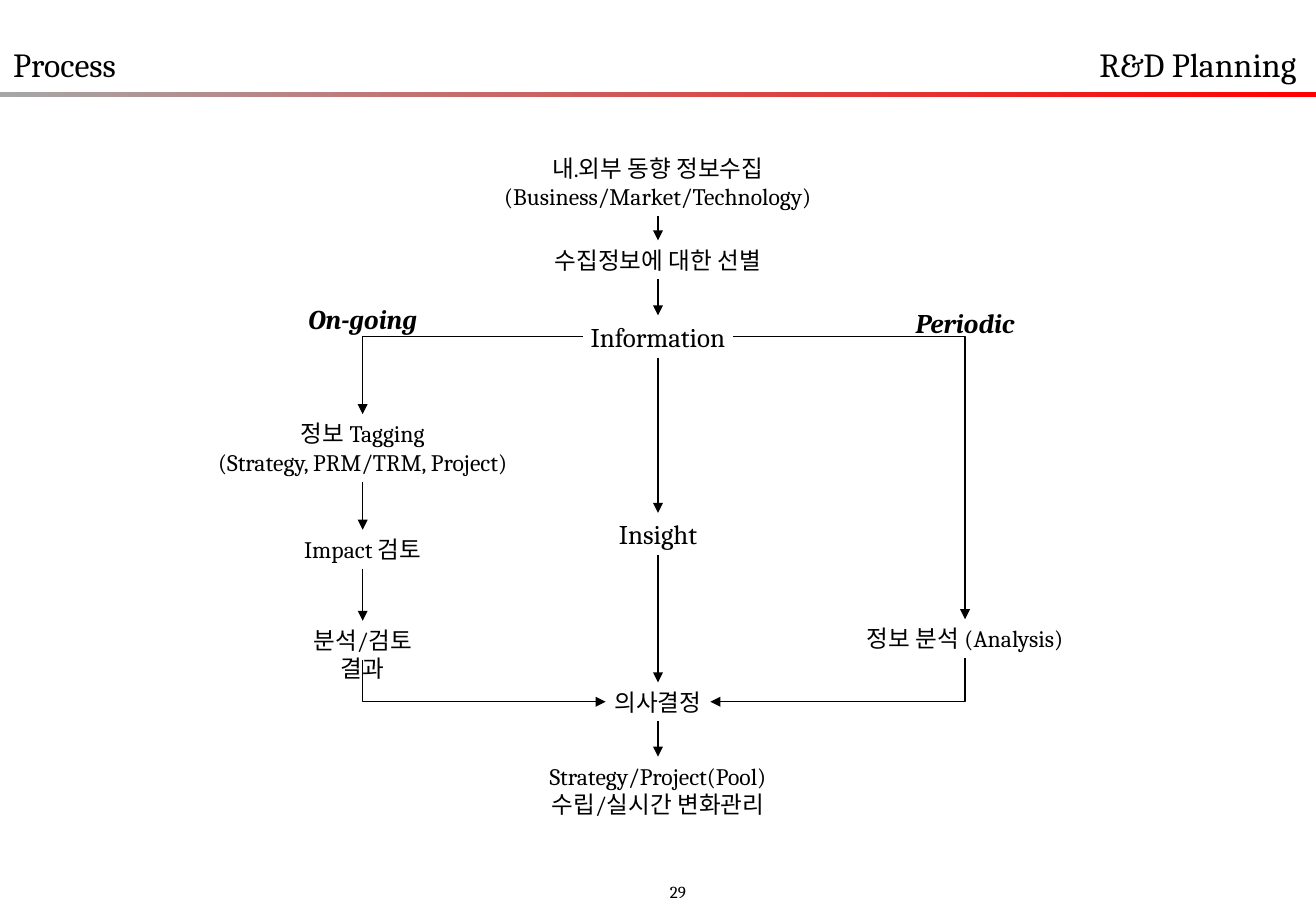
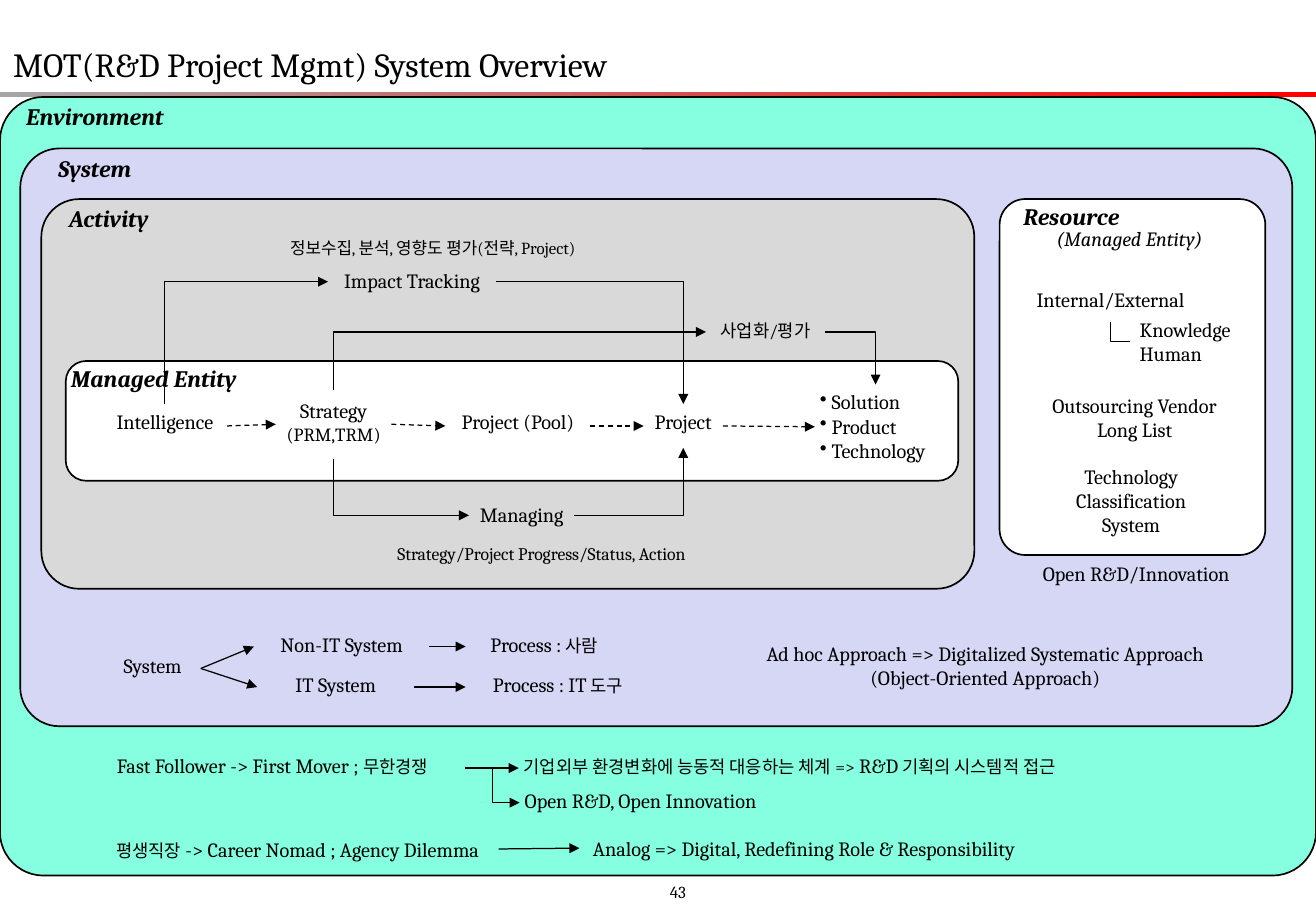
from collections import namedtuple

from lxml import etree
from pptx import Presentation
from pptx.dml.color import RGBColor
from pptx.enum import dml, shapes, text
from pptx.oxml import ns
from pptx.util import Pt

FONT = "Cambria"
BLACK, WHITE = "000000", "FFFFFF"
GREY, RED = "A6A6A6", "FF0000"
MINT, LILAC, SILVER = "85FFE0", "D6D6F5", "D9D9D9"

# Text insets: left, top, right, bottom
EVEN = (3, 3, 3, 3)
ENTITY = (3, 3, 3, 6)
FLAT = (3, 0, 3, 0)
WIDE = (7.2, 3.6, 7.2, 3.6)
SIDE = (3, 3.6, 3, 3.6)

# Connection sites of a box
TOP, LEFT, BOTTOM, RIGHT = range(4)


class Box(namedtuple("Box", "left top width height")):
    def inside(self, left, top, width, height):
        return Box(self.left + left, self.top + top, width, height)

    def points(self):
        return [Pt(value) for value in self]


def colour(value):
    return RGBColor.from_string(value)


def add_mark(parent, tag, **attributes):
    return etree.SubElement(parent, ns.qn(tag), **attributes)


# Text: a paragraph is a string or a list of (text, size) spans
def add_label(page, box, paragraphs, size=12, pad=EVEN, left=False, wrap=False,
              bold=False, italic=False, middle=False, bullet=False):
    shape = page.shapes.add_textbox(*box.points())
    frame = shape.text_frame
    frame.word_wrap = wrap or left
    frame.auto_size = text.MSO_AUTO_SIZE.NONE
    frame.vertical_anchor = text.MSO_ANCHOR.MIDDLE if middle else text.MSO_ANCHOR.TOP
    (frame.margin_left, frame.margin_top,
     frame.margin_right, frame.margin_bottom) = [Pt(value) for value in pad]
    for index, content in enumerate(paragraphs):
        para = frame.paragraphs[0] if index == 0 else frame.add_paragraph()
        para.alignment = text.PP_ALIGN.LEFT if left else text.PP_ALIGN.CENTER
        if bullet:
            properties = para._p.get_or_add_pPr()
            properties.set("marL", str(Pt(7)))
            properties.set("indent", str(-Pt(7)))
            add_mark(properties, "a:buChar", char="•")
        for words, span_size in [(content, size)] if isinstance(content, str) else content:
            span = para.add_run()
            span.text = words
            span.font.name = FONT
            span.font.size = Pt(span_size)
            span.font.bold = bold
            span.font.italic = italic
            span.font.color.rgb = colour(BLACK)
    return shape


# Connector glued to two boxes; it bends by the sides it joins
def link(page, start, start_side, end, end_side, bent=False, dashed=False, arrow=True):
    ends = [(start, start_side), (end, end_side)]
    vertical = (TOP, BOTTOM)
    turned = bent and start_side in vertical
    if turned:
        ends.reverse()  # a one-bend connector leaves sideways
    kind = shapes.MSO_CONNECTOR.ELBOW if bent else shapes.MSO_CONNECTOR.STRAIGHT
    connector = page.shapes.add_connector(kind, 0, 0, 0, 0)
    connector.begin_connect(*ends[0])
    connector.end_connect(*ends[1])
    properties = connector._element.spPr
    if bent and (start_side in vertical) != (end_side in vertical):
        properties.find(ns.qn("a:prstGeom")).set("prst", "bentConnector2")
    connector.line.color.rgb = colour(BLACK)
    connector.line.width = Pt(0.75)
    if dashed:
        connector.line.dash_style = dml.MSO_LINE.DASH
    if arrow:
        line = properties.find(ns.qn("a:ln"))
        add_mark(line, "a:headEnd" if turned else "a:tailEnd", type="triangle")
    add_mark(properties, "a:effectLst")


def add_panel(page, box, fill, rounding, title, title_left, title_top):
    shape = page.shapes.add_shape(shapes.MSO_SHAPE.ROUNDED_RECTANGLE, *box.points())
    shape.shadow.inherit = False
    shape.adjustments[0] = rounding
    shape.fill.solid()
    shape.fill.fore_color.rgb = colour(fill)
    shape.line.color.rgb = colour(BLACK)
    shape.line.width = Pt(1)
    add_label(page, box.inside(title_left, title_top, 120, 17.5), [title], 14, FLAT,
              left=True, bold=True, italic=True)


# Parts shared by the slides: title, band, page number
def add_page(deck, title, number, topic=None):
    page = deck.slides.add_slide(deck.slide_layouts[6])
    band = page.shapes.add_shape(shapes.MSO_SHAPE.RECTANGLE,
                                 *Box(0, 54.7, 780, 2.9).points())
    band.shadow.inherit = False
    band.line.fill.background()
    band.fill.gradient()
    band.fill.gradient_angle = 0
    for stop, place, value in zip(band.fill.gradient_stops, (0, 1), (GREY, RED)):
        stop.position = place
        stop.color.rgb = colour(value)
    add_label(page, Box(0.7, 22.5, 400, 32), [title], 20, WIDE, left=True)
    if topic:
        add_label(page, Box(644.5, 22.5, 135, 32), [topic], 20, WIDE, left=True)
    add_label(page, Box(390, 519, 27, 18), [number], 10, WIDE, left=True)
    return page


def draw_flow(page, box):
    ongoing, middle, periodic = 95, 270, 452

    def step(centre, top, width, *lines, size=14, **style):
        height = 40 if len(lines) == 2 else 25 if size == 16 else 23
        area = box.inside(centre - width / 2, top, width, height)
        return add_label(page, area, lines, size, **style)

    # Middle column
    collect = step(middle, 3, 196, "내.외부 동향 정보수집", "(Business/Market/Technology)")
    select = step(middle, 57.5, 139, "수집정보에 대한 선별")
    information = step(middle, 102, 89, "Information", size=16)
    insight = step(middle, 219, 54, "Insight", size=16)
    decision = step(middle, 319.5, 62, "의사결정")
    pool = step(middle, 363.5, 142, "Strategy/Project(Pool)", "수립/실시간 변화관리")

    # Side columns
    step(ongoing, 91.5, 73, "On-going", size=16, bold=True, italic=True)
    tagging = step(ongoing, 160.5, 184, "정보 Tagging", "(Strategy, PRM/TRM, Project)")
    impact = step(ongoing, 229, 79, "Impact 검토")
    result = step(ongoing, 283, 86, "분석/검토 결과", wrap=True)
    step(periodic, 93.5, 65.5, "Periodic", size=16, bold=True, italic=True)
    analysis = step(periodic, 282, 130, "정보 분석 (Analysis)")

    # Arrows
    for column in ([collect, select, information, insight, decision, pool],
                   [tagging, impact, result]):
        for upper, lower in zip(column, column[1:]):
            link(page, upper, BOTTOM, lower, TOP)
    link(page, information, LEFT, tagging, TOP, bent=True)
    link(page, information, RIGHT, analysis, TOP, bent=True)
    link(page, result, BOTTOM, decision, LEFT, bent=True)
    link(page, analysis, BOTTOM, decision, RIGHT, bent=True)


def draw_environment(page, box):
    add_panel(page, box, MINT, 0.056, "Environment", 12.5, 3)
    follower = add_label(page, box.inside(47.5, 385.5, 228, 24.5),
                         [[("Fast Follower -> First Mover ; ", 12), ("무한경쟁", 10.5)]],
                         pad=SIDE)
    response = add_label(page, box.inside(307.5, 385.5, 410, 24.5),
                         [[("기업외부 환경변화에 능동적 대응하는 체계 =>", 10.5),
                           (" R&D", 12), (" 기획의 시스템적 접근", 10.5)]],
                         pad=SIDE, left=True)
    openness = add_label(page, box.inside(308, 406, 268, 24.5),
                         ["Open R&D, Open Innovation"], pad=SIDE, left=True)
    career = add_label(page, box.inside(57.5, 435, 238, 21.5),
                       [[("평생직장", 10.5), (" -> Career Nomad ; Agency Dilemma", 12)]],
                       pad=SIDE)
    digital = add_label(page, box.inside(343.5, 434.5, 346, 21.5),
                        ["Analog => Digital, Redefining Role & Responsibility"],
                        pad=(8, 3.6, 3, 3.6), left=True)
    link(page, follower, RIGHT, response, LEFT)
    link(page, follower, RIGHT, openness, LEFT, bent=True)
    link(page, career, RIGHT, digital, LEFT)


def draw_system(page, box):
    add_panel(page, box, LILAC, 0.068, "System", 19.5, 3)
    system = add_label(page, box.inside(50, 296, 57, 24.5), ["System"], pad=WIDE)
    rows = [(283, 138.5, 104, "Non-IT System", 93, "Process :", " 사람"),
            (307, 140.5, 93, "IT System", 109.5, "Process : IT", " 도구")]
    for top, left, width, name, process_width, process, means in rows:
        kind = add_label(page, box.inside(left, top, width, 24.5), [name], pad=WIDE)
        target = add_label(page, box.inside(264, top, process_width, 24.5),
                           [[(process, 12), (means, 10.5)]], pad=WIDE)
        link(page, system, RIGHT, kind, LEFT)
        link(page, kind, RIGHT, target, LEFT)
    add_label(page, box.inside(412, 288.5, 320, 40),
              ["Ad hoc Approach => Digitalized Systematic Approach",
               "(Object-Oriented Approach)"], pad=WIDE)
    add_label(page, box.inside(595, 241, 133, 21.5), ["Open R&D/Innovation"], pad=WIDE)


def draw_activity(page, box):
    add_panel(page, box, SILVER, 0.097, "Activity", 13.5, 3)
    add_panel(page, box.inside(14.5, 96, 529, 71), WHITE, 0.17, "Managed Entity", 0, 1.5)

    # Managed entities, left to right
    def entity(left, width, name):
        return add_label(page, box.inside(left, 121.5, width, 26), [name], pad=ENTITY)

    intelligence = entity(36.5, 73.5, "Intelligence")
    strategy = add_label(page, box.inside(139, 113, 68.5, 41),
                         ["Strategy", [("(PRM,TRM)", 11)]], pad=ENTITY, middle=True)
    pool = entity(239.5, 86, "Project (Pool)")
    project = entity(357, 47, "Project")
    outcome = add_label(page, box.inside(458.5, 110, 72, 50),
                        ["Solution", "Product", "Technology"], pad=(3, 3, 0, 3),
                        left=True, bullet=True)

    # Activities around them
    tracking = add_label(page, box.inside(170, 38, 99.5, 22), ["Impact Tracking"])
    business = add_label(page, box.inside(394, 68.5, 70.5, 20.5), ["사업화/평가"], 10.5)
    managing = add_label(page, box.inside(253.5, 176.5, 62.5, 22), ["Managing"])
    add_label(page, box.inside(121.5, 19.5, 221, 21.5),
              ["정보수집, 분석, 영향도 평가(전략, Project)"], 10, WIDE)
    add_label(page, box.inside(186.5, 200, 220, 22),
              ["Strategy/Project Progress/Status, Action"], 10.5, WIDE)

    # Arrows
    chain = [intelligence, strategy, pool, project, outcome]
    for before, after in zip(chain, chain[1:]):
        link(page, before, RIGHT, after, LEFT, dashed=True)
    for source, side, activity, target, target_side in [
            (intelligence, TOP, tracking, project, TOP),
            (strategy, TOP, business, outcome, TOP),
            (strategy, BOTTOM, managing, project, BOTTOM)]:
        link(page, source, side, activity, LEFT, bent=True)
        link(page, activity, RIGHT, target, target_side, bent=True)


def draw_resource(page, box):
    add_panel(page, box, WHITE, 0.097, "Resource", 11, 1.5)
    add_label(page, box.inside(29.5, 16, 95, 14.5), ["(Managed Entity)"],
              pad=FLAT, italic=True)
    origin = add_label(page, box.inside(7, 48.5, 117.5, 24.5), ["Internal/External"],
                       pad=WIDE)
    knowledge = add_label(page, box.inside(77, 67, 65.5, 34.5), ["Knowledge", "Human"],
                          pad=(6, 3, 0, 3), left=True)
    link(page, origin, BOTTOM, knowledge, LEFT, bent=True, arrow=False)
    add_label(page, box.inside(21, 111.5, 118, 36), ["Outsourcing Vendor", "Long List"],
              pad=WIDE)
    add_label(page, box.inside(25, 157, 106, 47), ["Technology Classification System"],
              pad=(7.2, 0, 7.2, 3), wrap=True)


def main():
    deck = Presentation()
    deck.slide_width, deck.slide_height = Pt(780), Pt(540)

    process = add_page(deck, "Process", "29", "R&D Planning")
    draw_flow(process, Box(120, 85, 520, 405))

    overview = add_page(deck, "MOT(R&D Project Mgmt) System Overview", "43")
    draw_environment(overview, Box(0, 57.5, 780, 461.5))
    draw_system(overview, Box(12, 88, 754, 342.5))
    draw_activity(overview, Box(24.5, 118, 553, 231))
    draw_resource(overview, Box(592.5, 118, 157.5, 211))

    deck.save("out.pptx")


if __name__ == "__main__":
    main()
